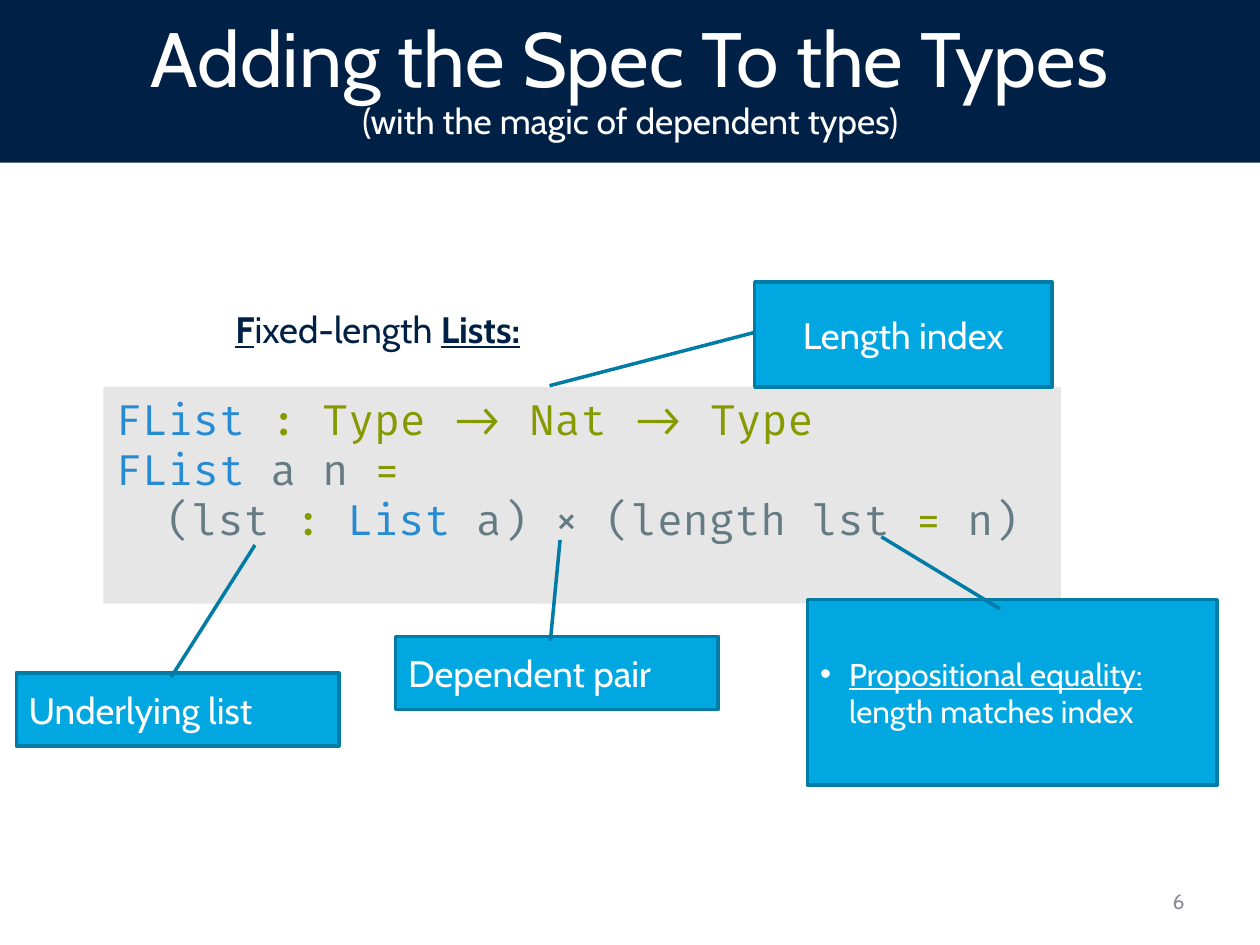
from lxml import etree
from pptx import Presentation
from pptx.dml.color import RGBColor
from pptx.enum.shapes import MSO_SHAPE
from pptx.enum.text import MSO_ANCHOR, MSO_AUTO_SIZE, PP_ALIGN
from pptx.oxml.ns import qn
from pptx.util import Inches, Pt

LEFT, CENTER, RIGHT = PP_ALIGN.LEFT, PP_ALIGN.CENTER, PP_ALIGN.RIGHT
TOP, MIDDLE = MSO_ANCHOR.TOP, MSO_ANCHOR.MIDDLE
RECTANGLE, CALLOUT = MSO_SHAPE.RECTANGLE, MSO_SHAPE.LINE_CALLOUT_1
NO_AUTOFIT = MSO_AUTO_SIZE.NONE
TITLE_ONLY = 5

BODY_FONT, CODE_FONT = "Cabin", "Fira Code"
NAVY, WHITE, GRAY, PANEL = "002145", "FFFFFF", "8C8D94", "E7E6E6"
SKY, TEAL = "00A7E1", "007CA6"
NAME, SYMBOL, PLAIN = "268BD2", "859900", "657B83"

CODE_LINES = [
    (0, [("FList ", NAME), (": Type -> Nat -> Type", SYMBOL)]),
    (0, [("FList", NAME), (" a n ", PLAIN), ("=", SYMBOL)]),
    (0.4, [("(lst ", PLAIN), (": ", SYMBOL), ("List", NAME),
           (" a) × (length lst ", PLAIN), ("=", SYMBOL), (" n)", PLAIN)]),
]

CALLOUTS = [
    ("Length index", (5.99, 2.24, 2.36, 0.83), (0.48, 0, 0.99, -0.69), CENTER),
    ("Dependent pair", (3.14, 5.05, 2.56, 0.58), (-1.32, 0.51, 0.06, 0.48), LEFT),
    ("Underlying list", (0.13, 5.34, 2.56, 0.58), (-1.75, 0.74, 0.06, 0.48), LEFT),
]


def rgb(hex_color):
    """Turn a hex string into a colour."""
    return RGBColor.from_string(hex_color)


def add_text(paragraph, text, size=21, color=WHITE, font=BODY_FONT,
             bold=False, underline=False):
    """Append a formatted run to a paragraph."""
    run = paragraph.add_run()
    run.text = text
    run.font.name = font
    run.font.size = Pt(size)
    run.font.color.rgb = rgb(color)
    run.font.bold = bold
    run.font.underline = underline


def set_frame(shape, anchor=TOP, align=LEFT):
    """Prepare a shape's text frame and return its first paragraph."""
    frame = shape.text_frame
    frame.word_wrap = True
    frame.auto_size = NO_AUTOFIT
    frame.vertical_anchor = anchor
    paragraph = frame.paragraphs[0]
    paragraph.alignment = align
    return paragraph


def set_indent(paragraph, margin, bullet=None):
    """Indent a paragraph, hanging a bullet in the margin if one is given."""
    properties = paragraph._p.get_or_add_pPr()
    properties.set("marL", str(Inches(margin)))
    if bullet:
        properties.set("indent", str(-Inches(margin)))
        etree.SubElement(properties, qn("a:buFont")).set("typeface", "Arial")
        etree.SubElement(properties, qn("a:buChar")).set("char", bullet)


def add_box(slide, preset, bounds, fill, outline=None):
    """Add a flat filled shape with an optional outline."""
    box = slide.shapes.add_shape(preset, *map(Inches, bounds))
    box.shadow.inherit = False
    box.fill.solid()
    box.fill.fore_color.rgb = rgb(fill)
    if outline:
        box.line.color.rgb = rgb(outline)
        box.line.width = Pt(2)
    else:
        box.line.fill.background()
    return box


def add_callout(slide, bounds, pointer, align=LEFT):
    """Add a callout with its pointer line and return its paragraph."""
    callout = add_box(slide, CALLOUT, bounds, SKY, TEAL)
    for index, value in enumerate(pointer):
        callout.adjustments[index] = value
    return set_frame(callout, MIDDLE, align)


def add_label(slide, bounds, anchor=TOP, align=LEFT):
    """Add a text box and return its paragraph."""
    return set_frame(slide.shapes.add_textbox(*map(Inches, bounds)), anchor, align)


def add_title(slide):
    """Fill the title banner with the title and its subtitle."""
    title = slide.shapes.title
    title.left, title.top, title.width, title.height = map(Inches, (0, 0, 10, 1.29))
    title.fill.solid()
    title.fill.fore_color.rgb = rgb(NAVY)
    heading = set_frame(title, MIDDLE, CENTER)
    heading.line_spacing = 0.9
    add_text(heading, "Adding the Spec To the Types", size=44)
    heading.add_line_break()
    add_text(heading, "(with the magic of dependent types)", size=20.2)


def add_code(slide):
    """Add the code panel with its highlighted lines."""
    panel = add_box(slide, RECTANGLE, (0.82, 3.07, 7.6, 1.72), PANEL)
    line = set_frame(panel)
    for number, (indent, tokens) in enumerate(CODE_LINES):
        if number:
            line = panel.text_frame.add_paragraph()
            line.alignment = LEFT
        set_indent(line, indent)
        for text, color in tokens:
            add_text(line, text, size=24, color=color, font=CODE_FONT)


def main():
    """Build and save the slide."""
    deck = Presentation()
    deck.slide_width, deck.slide_height = Inches(10), Inches(7.5)
    slide = deck.slides.add_slide(deck.slide_layouts[TITLE_ONLY])
    add_title(slide)
    add_code(slide)

    for text, bounds, pointer, align in CALLOUTS:
        add_text(add_callout(slide, bounds, pointer, align), text)

    equality = add_callout(slide, (6.41, 4.76, 3.25, 1.47), (-0.34, 0.18, 0.05, 0.47))
    set_indent(equality, 0.23, bullet="•")
    add_text(equality, "Propositional equality: ", size=18, underline=True)
    add_text(equality, "length matches index", size=18)

    caption = add_label(slide, (1.77, 2.45, 2.77, 0.36))
    caption.line_spacing = 0.8
    caption.space_before = Pt(10)
    add_text(caption, "F", color=NAVY, bold=True, underline=True)
    add_text(caption, "ixed-length ", color=NAVY)
    add_text(caption, "Lists:", color=NAVY, bold=True, underline=True)

    page_number = add_label(slide, (7.17, 6.95, 2.33, 0.4), MIDDLE, RIGHT)
    add_text(page_number, "6", size=12, color=GRAY)

    deck.save("out.pptx")


if __name__ == "__main__":
    main()
